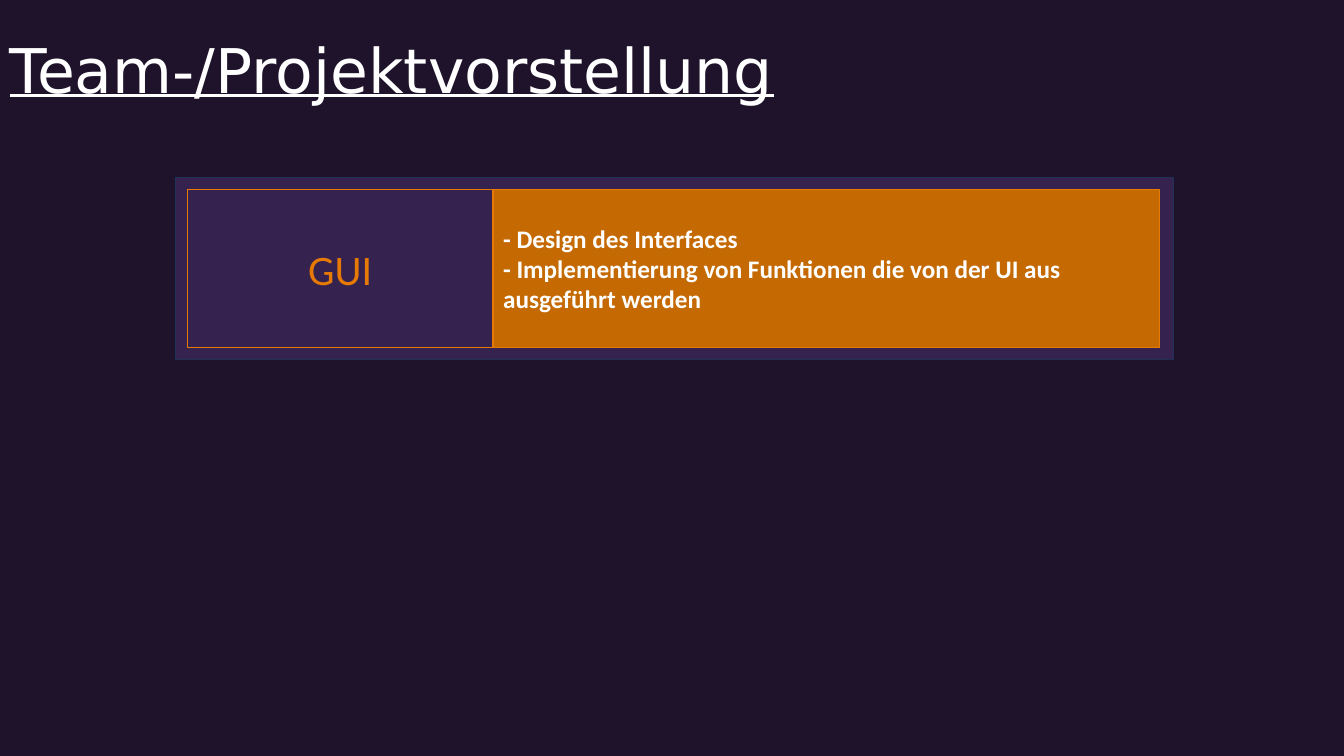
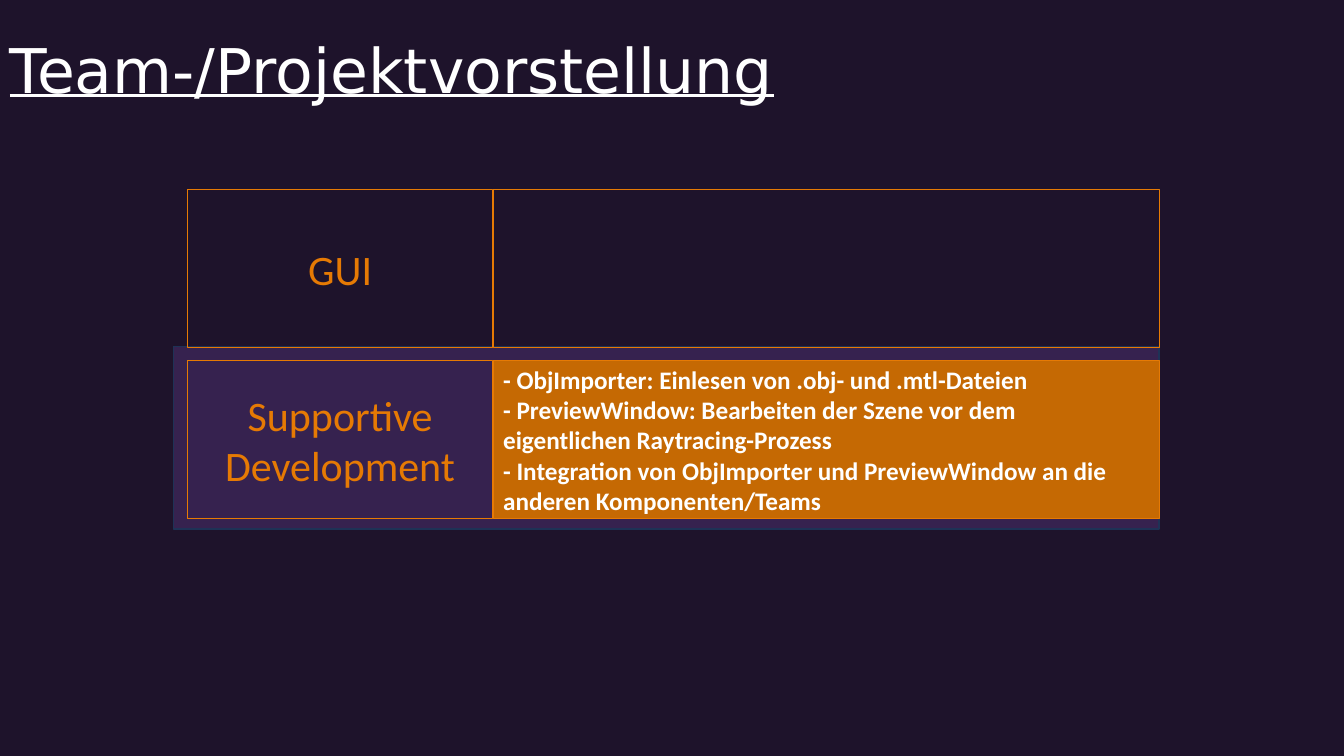
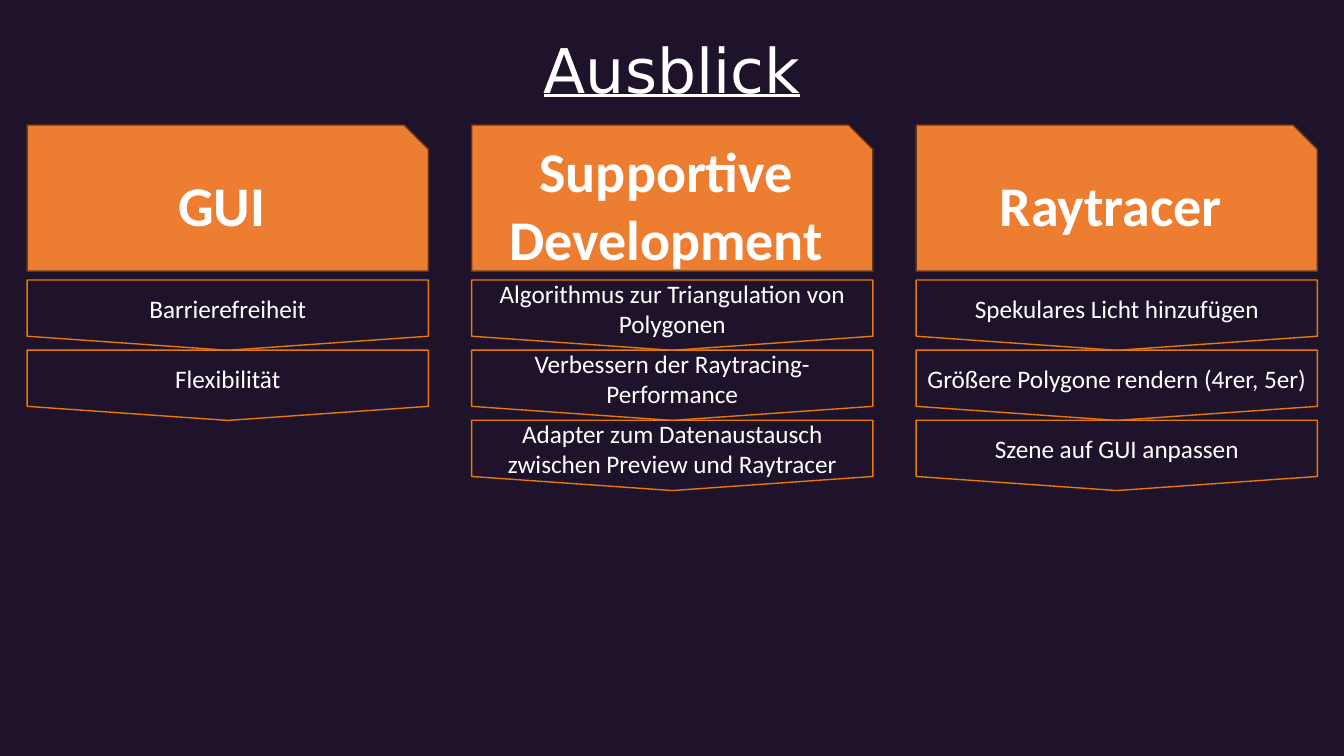
from dataclasses import dataclass
from typing import Any, NamedTuple, Optional

from pptx import Presentation as Deck
from pptx.dml.color import RGBColor as Color
from pptx.enum.shapes import MSO_SHAPE as Form
from pptx.enum.text import MSO_ANCHOR as Anchor, PP_ALIGN as Align
from pptx.util import Pt


@dataclass(frozen=True)
class Theme:
    night: str = "1E132B"
    plum: str = "36224F"
    navy: str = "1E3256"
    amber: str = "E67A04"
    rust: str = "C56903"
    orange: str = "ED7D31"
    brown: str = "683715"
    white: str = "FFFFFF"
    title: int = 44
    head: int = 40
    label: int = 30
    body: int = 18
    sans: str = "Calibri"
    wide: str = "DejaVu Sans"


class Look(NamedTuple):
    color: str
    font: dict[str, Any]
    para: dict[str, Any]


class Box(NamedTuple):
    left: float
    top: float
    width: float
    height: float


class Skin(NamedTuple):
    form: Form
    fill: Optional[str]
    line: str
    weight: float = 1


class Topic(NamedTuple):
    head: str
    items: list[str]


T = Theme()
MID = {"alignment": Align.CENTER}
START = {"alignment": Align.LEFT}

TITLE = Look(T.white, {"name": T.wide, "size": Pt(T.title), "underline": True}, {"line_spacing": 0.9})
HEAD = Look(T.white, {"name": T.sans, "size": Pt(T.head), "bold": True}, MID)
LABEL = Look(T.amber, {"name": T.sans, "size": Pt(T.label)}, MID)
DUTY = Look(T.white, {"name": T.sans, "size": Pt(T.body), "bold": True}, START)
ITEM = Look(T.white, {"name": T.sans, "size": Pt(T.body)}, MID)

BAND = Skin(Form.RECTANGLE, T.plum, T.navy)
NAME = Skin(Form.RECTANGLE, None, T.amber, 0.75)
FULL = Skin(Form.RECTANGLE, T.rust, T.amber)
BARE = Skin(Form.RECTANGLE, None, T.amber)
COVER = Skin(Form.RECTANGLE, T.night, T.night)
SNIP = Skin(Form.SNIP_1_RECTANGLE, T.orange, T.brown)
FLAG = Skin(Form.FLOWCHART_OFFPAGE_CONNECTOR, T.night, T.amber)

WIDTH, HEIGHT = 960, 540
TEAM_WIDTH = 828
TITLE_HEIGHT = 104.4
ROW_TOP, ROW_STEP, ROW_HEIGHT = 135.4, 122.2, 113
NAME_LEFT, NAME_WIDTH = 133.9, 218.2
DUTY_LEFT, DUTY_WIDTH = 352.3, 475.9
COL_LEFT, COL_STEP, COL_WIDTH = 19.4, 317.5, 286.6
HEAD_TOP, HEAD_HEIGHT = 89.3, 104.4
ITEM_TOP, ITEM_STEP, ITEM_HEIGHT = 200, 50.1, 50.2

TEAMS = [
    Topic("GUI", [
        "- Design des Interfaces",
        "- Implementierung von Funktionen die von der UI aus ausgeführt werden",
    ]),
    Topic("Supportive Development", [
        "- ObjImporter: Einlesen von .obj- und .mtl-Dateien",
        "- PreviewWindow: Bearbeiten der Szene vor dem eigentlichen Raytracing-Prozess",
        "- Integration von ObjImporter und PreviewWindow an die anderen Komponenten/Teams",
    ]),
]
BANDS = [Box(125.3, 126.7, 712.8, 130.3), Box(123.8, 247.7, 704.2, 130.3)]
PLANS = [
    Topic("GUI", ["Barrierefreiheit", "Flexibilität"]),
    Topic("Supportive Development", [
        "Algorithmus zur Triangulation von Polygonen",
        "Verbessern der Raytracing-Performance",
        "Adapter zum Datenaustausch zwischen Preview und Raytracer",
    ]),
    Topic("Raytracer", [
        "Spekulares Licht hinzufügen",
        "Größere Polygone rendern (4rer, 5er)",
        "Szene auf GUI anpassen",
    ]),
]


def apply(target: Any, values: dict[str, Any]) -> None:
    for key, value in values.items():
        setattr(target, key, value)


def write(shape: Any, lines: list[str], look: Look) -> None:
    frame = shape.text_frame
    apply(frame, {"word_wrap": True, "vertical_anchor": Anchor.MIDDLE})
    for n, line in enumerate(lines):
        para = frame.add_paragraph() if n else frame.paragraphs[0]
        apply(para, look.para)
        run = para.add_run()
        run.text = line
        apply(run.font, look.font)
        run.font.color.rgb = Color.from_string(look.color)


def draw(slide: Any, box: Box, skin: Skin) -> Any:
    shape = slide.shapes.add_shape(skin.form, *map(Pt, box))
    shape.shadow.inherit = False
    if skin.fill:
        shape.fill.solid()
        shape.fill.fore_color.rgb = Color.from_string(skin.fill)
    else:
        shape.fill.background()
    shape.line.color.rgb = Color.from_string(skin.line)
    shape.line.width = Pt(skin.weight)
    return shape


def start(deck: Any) -> Any:
    return deck.slides.add_slide(deck.slide_layouts[6])


def head(slide: Any, text: str, width: float, align: Align) -> None:
    box = slide.shapes.add_textbox(*map(Pt, Box(0, 0, width, TITLE_HEIGHT)))
    write(box, [text], TITLE._replace(para={**TITLE.para, "alignment": align}))


def cells(row: int) -> tuple[Box, Box]:
    top = ROW_TOP + row * ROW_STEP
    return Box(NAME_LEFT, top, NAME_WIDTH, ROW_HEIGHT), Box(DUTY_LEFT, top, DUTY_WIDTH, ROW_HEIGHT)


def team(deck: Any, live: int) -> None:
    slide = start(deck)
    draw(slide, BANDS[live], BAND)
    head(slide, "Team-/Projektvorstellung", TEAM_WIDTH, Align.LEFT)
    for row, topic in enumerate(TEAMS):
        name, duty = cells(row)
        if row > live:
            for box in (name, duty):
                draw(slide, box, COVER)
            continue
        write(draw(slide, name, NAME), [topic.head], LABEL)
        if row == live:
            write(draw(slide, duty, FULL), topic.items, DUTY)
        else:
            draw(slide, duty, BARE)


def plan(deck: Any) -> None:
    slide = start(deck)
    head(slide, "Ausblick", WIDTH, Align.CENTER)
    for col, topic in enumerate(PLANS):
        left = COL_LEFT + col * COL_STEP
        write(draw(slide, Box(left, HEAD_TOP, COL_WIDTH, HEAD_HEIGHT), SNIP), [topic.head], HEAD)
        for n, item in enumerate(topic.items):
            box = Box(left, ITEM_TOP + n * ITEM_STEP, COL_WIDTH, ITEM_HEIGHT)
            write(draw(slide, box, FLAG), [item], ITEM)


def main() -> None:
    deck = Deck()
    apply(deck, {"slide_width": Pt(WIDTH), "slide_height": Pt(HEIGHT)})
    ground = deck.slide_master.background.fill
    ground.solid()
    ground.fore_color.rgb = Color.from_string(T.night)
    for live in range(len(TEAMS)):
        team(deck, live)
    plan(deck)
    deck.save("out.pptx")


if __name__ == "__main__":
    main()
